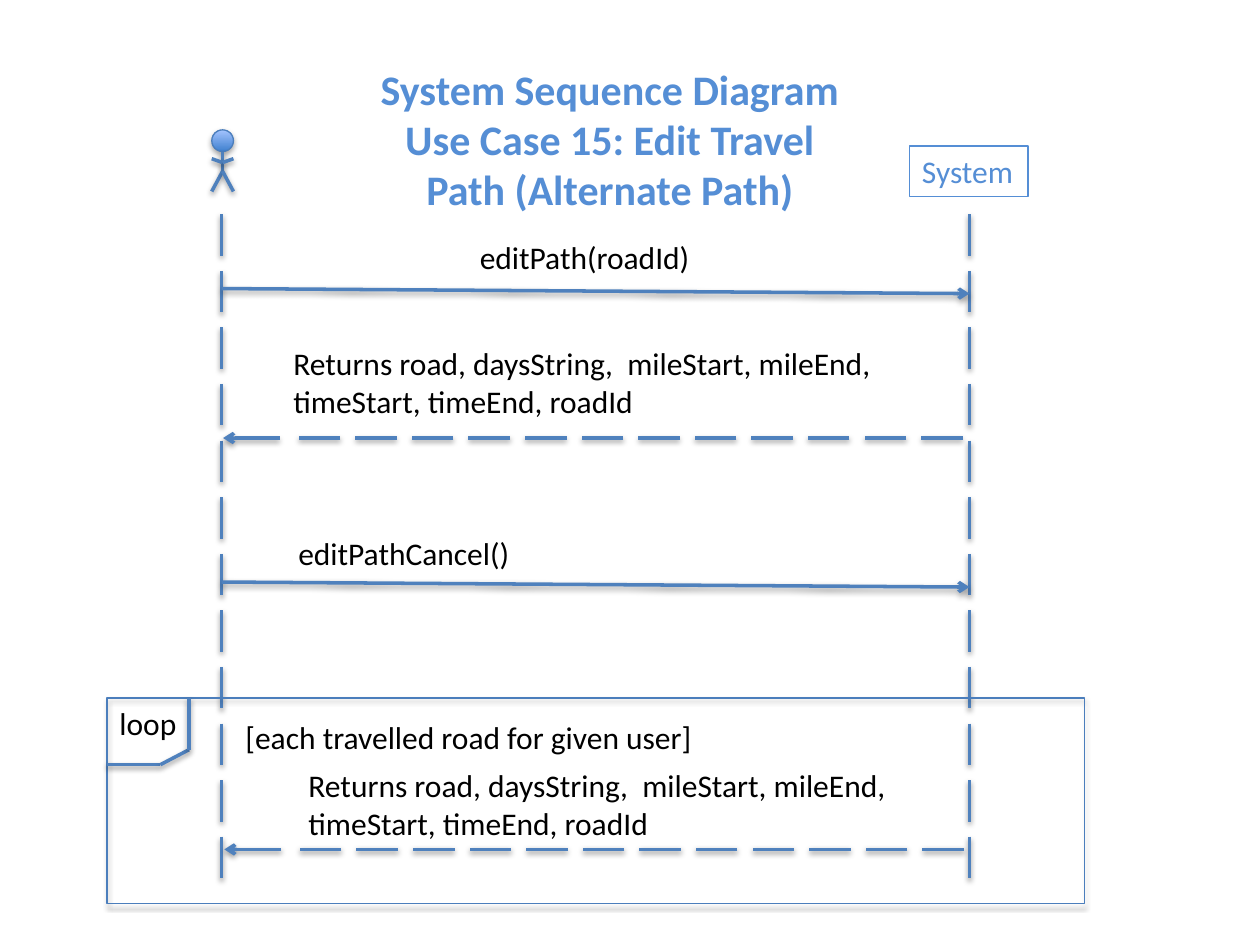
from lxml import etree
from pptx import Presentation
from pptx import util as u
from pptx.dml.color import RGBColor
from pptx.enum import shapes, text
from pptx.oxml.ns import qn

FONT = "Calibri"
LINE, EDGE, ACCENT, BLACK = "4F81BD", "4B7EBC", "558ED5", "000000"
LINE_SHADOW = (38, 1.6)
SHAPE_SHADOW = (35, 1.8)

TITLE = ["System Sequence Diagram", "Use Case 15: Edit Travel Path (Alternate Path)"]
RETURNED = "Returns road, daysString,  mileStart, mileEnd, timeStart, timeEnd, roadId"
LABELS = [
    ("editPath(roadId)", 267.1, 132.5, 136.8, 29, False),
    (RETURNED, 160.6, 193, 345.6, 51, True),
    ("editPathCancel()", 163.4, 301.7, 342.7, 29, True),
    ("loop", 61.2, 398.9, 47.5, 29, False),
    ("[each travelled road for given user]", 133.2, 406.8, 273.6, 29, False),
    (RETURNED, 169.2, 434.2, 345.6, 51, True),
]
ACTOR_X, SYSTEM_X = 126.7, 554
CALLS = [(164.9, 167.8), (332.6, 335.5)]
RETURNS = [(550.1, 250.3), (550.8, 485.4)]
DASH_COUNT, DASH, PITCH = 12, 23.7, 32.34
LIFELINE_TOP = 122.4
ACTOR = (127.2, 74.2, 12.4)
SYSTEM = (519.8, 83.5, 67.7, 28.8)
LOOP = (61.2, 398.9, 558.7, 117.4)
LOOP_TAB = [(61.2, 437), (91.6, 437), (108, 428.4), (108, 398.9)]


def color(value):
    return RGBColor.from_string(value)


def add_shadow(shape, opacity, distance):
    properties = shape._element.spPr
    effects = properties.find(qn("a:effectLst"))
    if effects is None:
        effects = etree.SubElement(properties, qn("a:effectLst"))
    shadow = etree.SubElement(effects, qn("a:outerShdw"), blurRad=str(u.Pt(3.1)),
                              dist=str(u.Pt(distance)), dir="5400000", rotWithShape="0")
    shade = etree.SubElement(shadow, qn("a:srgbClr"), val=BLACK)
    etree.SubElement(shade, qn("a:alpha"), val=str(opacity * 1000))


def add_line(slide, start, end, arrow=False):
    line = slide.shapes.add_connector(
        shapes.MSO_CONNECTOR.STRAIGHT, *(u.Pt(value) for value in (*start, *end)))
    line.line.color.rgb = color(LINE)
    line.line.width = u.Pt(2)
    if arrow:
        etree.SubElement(line.line._get_or_add_ln(), qn("a:tailEnd"), type="arrow")
    add_shadow(line, *LINE_SHADOW)


def add_dashes(slide, x, y, step_x, step_y):
    for index in range(DASH_COUNT):
        left, top = x + index * step_x * PITCH, y + index * step_y * PITCH
        add_line(slide, (left, top), (left + step_x * DASH, top + step_y * DASH))


def add_outline(slide, kind, box, edge):
    shape = slide.shapes.add_shape(kind, *(u.Pt(value) for value in box))
    shape.shadow.inherit = False
    shape.fill.background()
    shape.line.color.rgb = color(edge)
    shape.line.width = u.Pt(0.75)
    return shape


def add_text(paragraph, content, size, value, bold=False):
    run = paragraph.add_run()
    run.text = content
    run.font.name = FONT
    run.font.size = u.Pt(size)
    run.font.bold = bold
    run.font.color.rgb = color(value)


def add_title(slide):
    title = slide.shapes.title
    title.left, title.top, title.width, title.height = (
        u.Pt(value) for value in (209.5, 32.4, 277.9, 94.3))
    frame = title.text_frame
    frame.word_wrap = True
    frame.auto_size = text.MSO_AUTO_SIZE.NONE
    frame.vertical_anchor = text.MSO_ANCHOR.TOP
    for index, content in enumerate(TITLE):
        paragraph = frame.add_paragraph() if index else frame.paragraphs[0]
        paragraph.alignment = text.PP_ALIGN.CENTER
        paragraph.space_before = u.Pt(0)
        add_text(paragraph, content, 24, ACCENT, True)


def add_actor(slide):
    x, top, head = ACTOR
    reach, neck, hip = head / 2, top + head, top + 23.7
    face = add_outline(slide, shapes.MSO_SHAPE.OVAL, (x - reach, top, head, head), EDGE)
    face.fill.gradient()
    face.fill.gradient_angle = 90
    for stop, value in zip(face.fill.gradient_stops, ("3F80CE", "A4C4FF")):
        stop.color.rgb = color(value)
    add_shadow(face, *SHAPE_SHADOW)
    add_line(slide, (x, neck), (x, hip))
    for side in (-reach, reach):
        add_line(slide, (x, hip), (x + side, hip + 11.5))
        add_line(slide, (x, neck + 6.3), (x + side, neck + 4.1))


def add_system(slide):
    system = add_outline(slide, shapes.MSO_SHAPE.RECTANGLE, SYSTEM, ACCENT)
    frame = system.text_frame
    frame.word_wrap = False
    frame.vertical_anchor = text.MSO_ANCHOR.TOP
    frame.paragraphs[0].alignment = text.PP_ALIGN.LEFT
    add_text(frame.paragraphs[0], "System", 18, ACCENT)


def add_loop(slide):
    loop = add_outline(slide, shapes.MSO_SHAPE.RECTANGLE, LOOP, EDGE)
    add_shadow(loop, *SHAPE_SHADOW)
    for start, end in zip(LOOP_TAB, LOOP_TAB[1:]):
        add_line(slide, start, end)


def add_label(slide, content, left, top, width, height, wrap):
    label = slide.shapes.add_textbox(*(u.Pt(value) for value in (left, top, width, height)))
    label.text_frame.word_wrap = wrap
    add_text(label.text_frame.paragraphs[0], content, 18, BLACK)


def main():
    presentation = Presentation()
    presentation.slide_width, presentation.slide_height = u.Pt(720), u.Pt(540)
    slide = presentation.slides.add_slide(presentation.slide_layouts[5])
    add_title(slide)
    for x in (ACTOR_X, SYSTEM_X):
        add_dashes(slide, x, LIFELINE_TOP, 0, 1)
    add_actor(slide)
    add_system(slide)
    for start_y, end_y in CALLS:
        add_line(slide, (ACTOR_X, start_y), (SYSTEM_X, end_y), arrow=True)
    for x, y in RETURNS:
        add_dashes(slide, x, y, -1, 0)
        add_line(slide, (x - 390.2, y), (x - 422.6, y), arrow=True)
    add_loop(slide)
    for label in LABELS:
        add_label(slide, *label)
    presentation.save("out.pptx")


if __name__ == "__main__":
    main()
